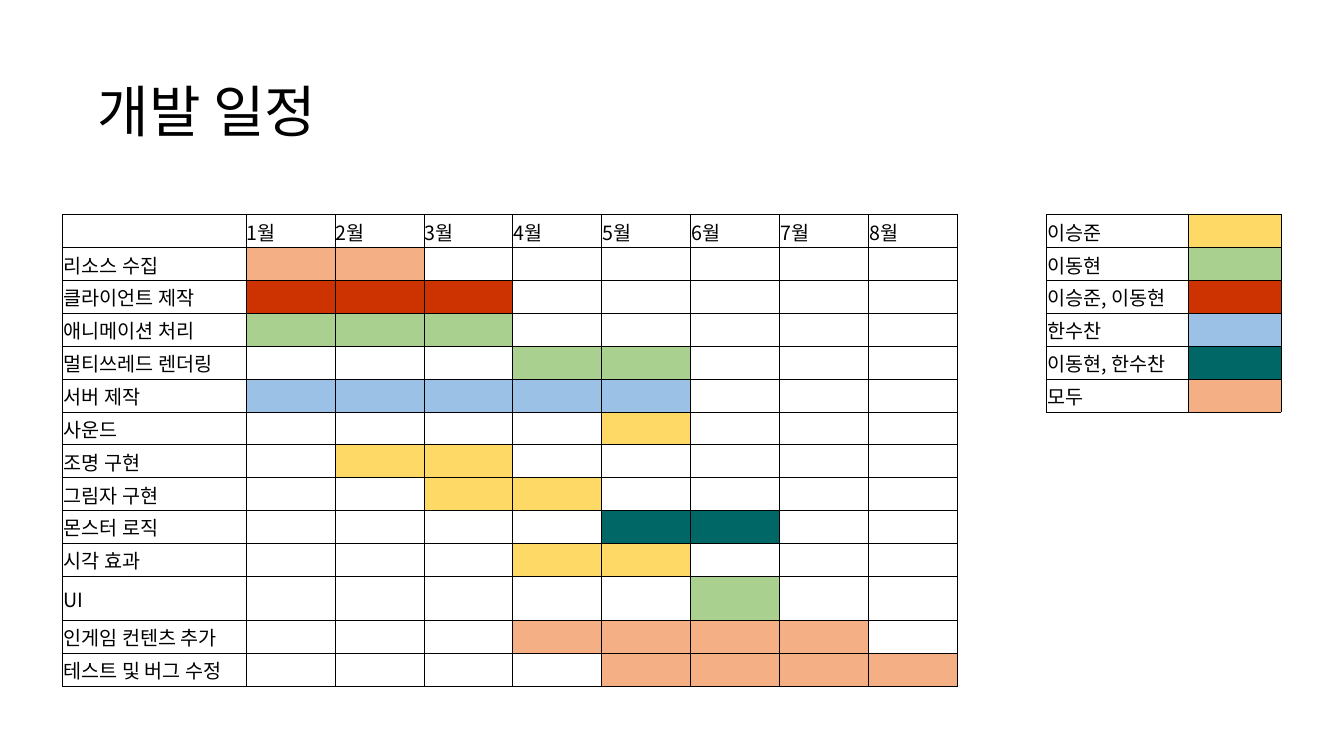
from dataclasses import dataclass

from lxml.etree import SubElement
from pptx import Presentation
from pptx.dml.color import RGBColor
from pptx.enum.text import MSO_ANCHOR, MSO_AUTO_SIZE, PP_ALIGN
from pptx.oxml.ns import qn
from pptx.util import Inches, Pt


@dataclass(frozen=True)
class Theme:
    font: str = "Noto Sans CJK KR"
    title_size: int = 40
    cell_size: int = 14
    border_width: float = 0.5
    ink: str = "000000"
    yellow: str = "FFD966"
    green: str = "A9D08E"
    red: str = "CC3300"
    blue: str = "9BC2E6"
    teal: str = "006666"
    orange: str = "F4B084"


THEME = Theme()
MONTHS = [f"{month}월" for month in range(1, 9)]

# Task, first month, last month, colour of the people in charge
TASKS = [
    ("리소스 수집", 1, 2, THEME.orange),
    ("클라이언트 제작", 1, 3, THEME.red),
    ("애니메이션 처리", 1, 3, THEME.green),
    ("멀티쓰레드 렌더링", 4, 5, THEME.green),
    ("서버 제작", 1, 5, THEME.blue),
    ("사운드", 5, 5, THEME.yellow),
    ("조명 구현", 2, 3, THEME.yellow),
    ("그림자 구현", 3, 4, THEME.yellow),
    ("몬스터 로직", 5, 6, THEME.teal),
    ("시각 효과", 4, 5, THEME.yellow),
    ("UI", 6, 6, THEME.green),
    ("인게임 컨텐츠 추가", 4, 7, THEME.orange),
    ("테스트 및 버그 수정", 5, 8, THEME.orange),
]
OWNERS = [
    ("이승준", THEME.yellow),
    ("이동현", THEME.green),
    ("이승준, 이동현", THEME.red),
    ("한수찬", THEME.blue),
    ("이동현, 한수찬", THEME.teal),
    ("모두", THEME.orange),
]
GAP_COLUMN = len(MONTHS) + 1
OWNER_COLUMN = GAP_COLUMN + 1
COLOUR_COLUMN = GAP_COLUMN + 2


def apply_format(target, values):
    for name, value in values.items():
        setattr(target, name, value)


def cell_sides(row, column):
    """Sides of a cell that carry a line."""
    beside_legend = row < len(OWNERS)
    if column < GAP_COLUMN:
        return "LRTB"
    if column == GAP_COLUMN:
        return "LR" if beside_legend else "L"
    if beside_legend:
        return "LRTB"
    return "T" if row == len(OWNERS) else ""


class ScheduleSlide:
    def __init__(self, deck, theme):
        self.theme = theme
        self.slide = deck.slides.add_slide(deck.slide_layouts[5])

    def add_text(self, paragraph, text, size):
        if not text:
            # An empty cell still needs a small line height
            paragraph._p.get_or_add_endParaRPr().set("sz", str(size * 100))
            return
        run = paragraph.add_run()
        run.text = text
        apply_format(run.font, {"name": self.theme.font, "size": Pt(size), "bold": False})
        run.font.color.rgb = RGBColor.from_string(self.theme.ink)
        SubElement(run._r.get_or_add_rPr(), qn("a:ea"), typeface=self.theme.font)

    def title(self, text, left, top, width, height):
        heading = self.slide.shapes.title
        apply_format(heading, {
            "left": Inches(left), "top": Inches(top),
            "width": Inches(width), "height": Inches(height),
        })
        apply_format(heading.text_frame, {
            "word_wrap": False,
            "auto_size": MSO_AUTO_SIZE.SHAPE_TO_FIT_TEXT,
            "vertical_anchor": MSO_ANCHOR.MIDDLE,
        })
        paragraph = heading.text_frame.paragraphs[0]
        paragraph.alignment = PP_ALIGN.LEFT
        self.add_text(paragraph, text, self.theme.title_size)

    def borders(self, cell, sides):
        properties = cell._tc.get_or_add_tcPr()
        for side in "LRTB":
            line = SubElement(properties, qn(f"a:ln{side}"))
            if side in sides:
                line.set("w", str(Pt(self.theme.border_width)))
                fill = SubElement(line, qn("a:solidFill"))
                SubElement(fill, qn("a:srgbClr"), val=self.theme.ink)
            else:
                SubElement(line, qn("a:noFill"))

    def cell(self, cell, text, colour, sides):
        apply_format(cell, {
            "margin_left": Inches(0.01), "margin_right": Inches(0.01),
            "margin_top": Inches(0.01), "margin_bottom": Inches(0),
            "vertical_anchor": MSO_ANCHOR.MIDDLE,
        })
        self.borders(cell, sides)
        if colour:
            cell.fill.solid()
            cell.fill.fore_color.rgb = RGBColor.from_string(colour)
        else:
            cell.fill.background()
        self.add_text(cell.text_frame.paragraphs[0], text, self.theme.cell_size)

    def table(self, left, top, widths, heights, texts, colours):
        schedule = self.slide.shapes.add_table(
            len(heights), len(widths), Inches(left), Inches(top),
            Inches(sum(widths)), Inches(sum(heights))).table
        apply_format(schedule, {"first_row": False, "horz_banding": False})
        for column, width in zip(schedule.columns, widths):
            column.width = Inches(width)
        for row, height in zip(schedule.rows, heights):
            row.height = Inches(height)
        for row in range(len(heights)):
            for column in range(len(widths)):
                place = row, column
                self.cell(schedule.cell(row, column), texts.get(place, ""),
                          colours.get(place), cell_sides(row, column))


def main():
    deck = Presentation()
    apply_format(deck, {"slide_width": Inches(13.33), "slide_height": Inches(7.5)})
    page = ScheduleSlide(deck, THEME)

    # Heading
    page.title("개발 일정", 0.87, 0.71, 2.64, 0.77)

    # Month headings, task bars and legend, keyed by row and column
    texts = {(0, column): month for column, month in enumerate(MONTHS, 1)}
    colours = {}
    for row, (task, first, last, colour) in enumerate(TASKS, 1):
        texts[row, 0] = task
        for month in range(first, last + 1):
            colours[row, month] = colour
    for row, (owner, colour) in enumerate(OWNERS):
        texts[row, OWNER_COLUMN] = owner
        colours[row, COLOUR_COLUMN] = colour

    # Table measures: equal months and rows, with a taller UI row
    task_width, owner_width, colour_width = 1.82, 1.41, 0.92
    month_width = (12.09 - task_width - owner_width - colour_width) / GAP_COLUMN
    widths = [task_width] + [month_width] * GAP_COLUMN + [owner_width, colour_width]
    ui_height = 0.44
    row_height = (4.68 - ui_height) / len(TASKS)
    heights = [row_height] + [
        ui_height if task == "UI" else row_height for task, *_ in TASKS]
    page.table(0.62, 2.13, widths, heights, texts, colours)

    deck.save("out.pptx")


if __name__ == "__main__":
    main()
